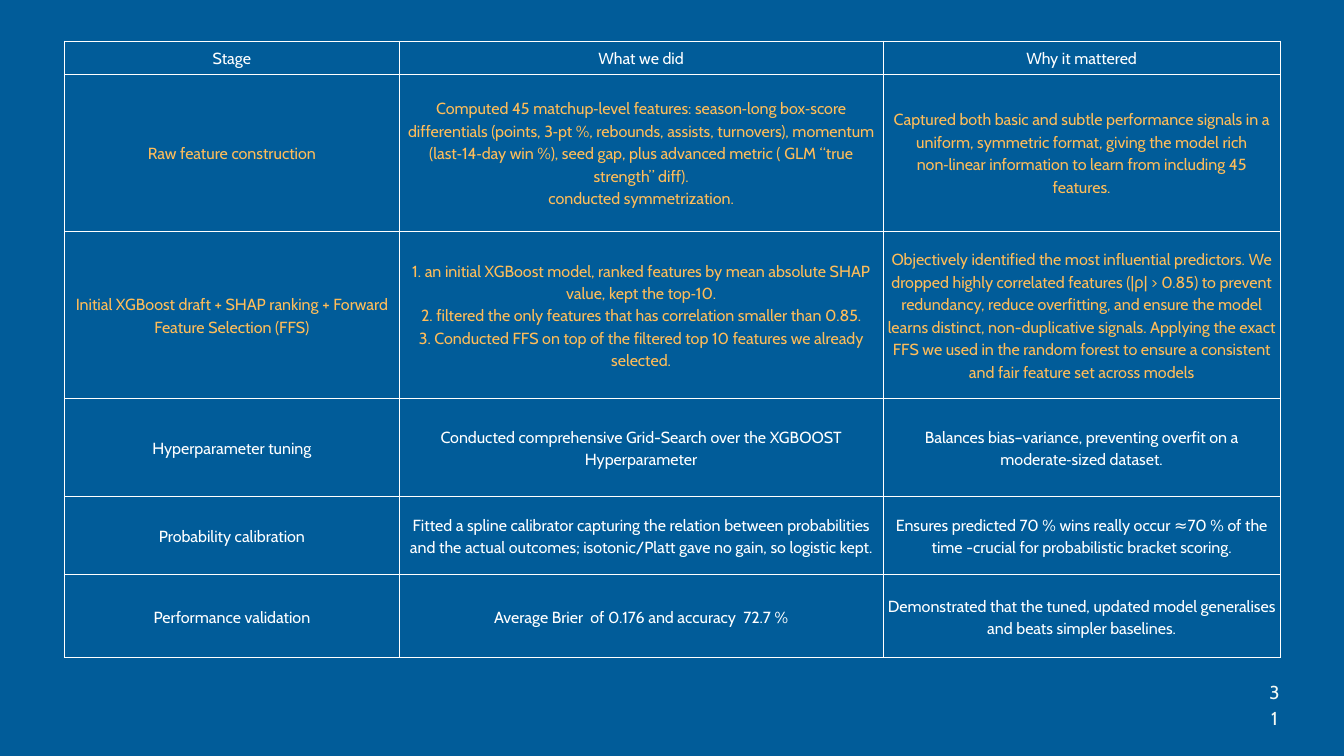
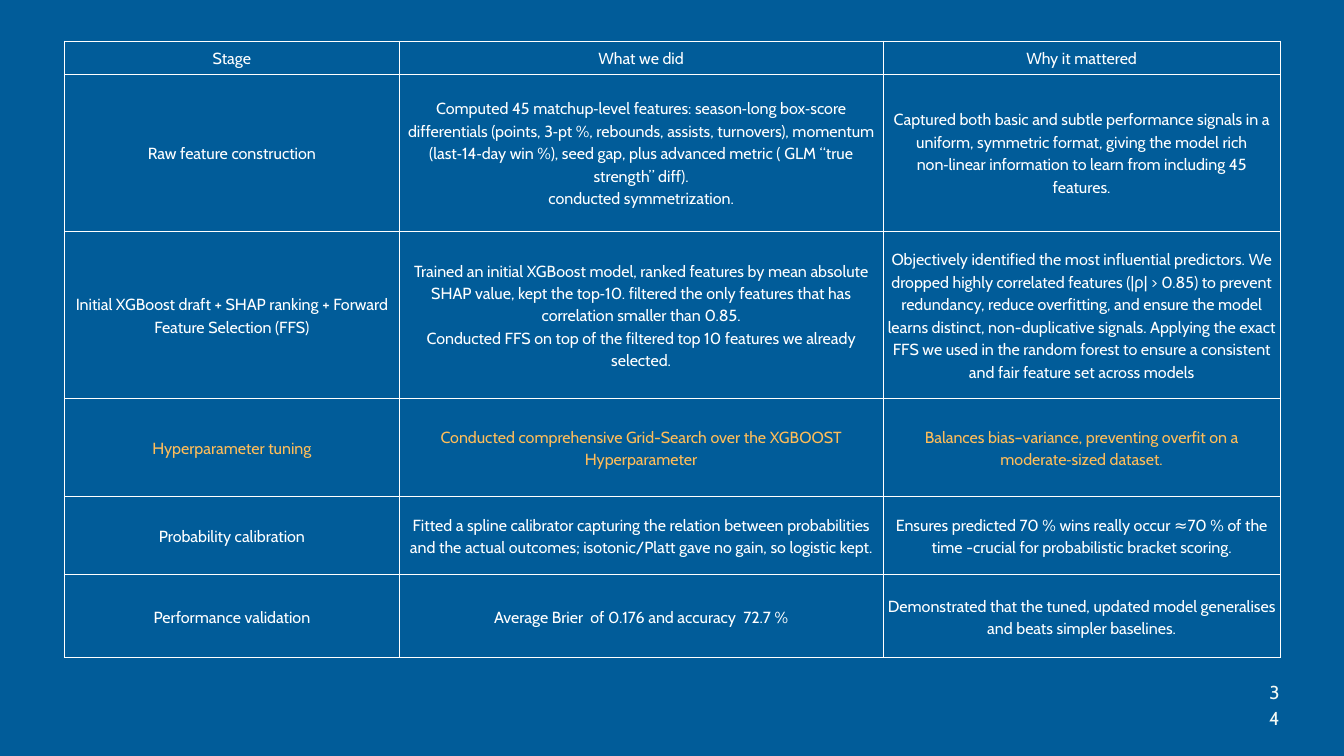
from lxml import etree
from pptx import Presentation
from pptx import util as u
from pptx.dml import color
from pptx.enum import text
from pptx.oxml import ns

FONT = "Cabin"
BLUE, WHITE, AMBER, PALE = "015C99", "FFFFFF", "FFBD59", "F3F9F4"
TABLE_BOX = (0.96, 0.61, 18.09, 9.18)
NUMBER_BOX = (18.88, 10.07, 0.17, 0.22)
COLUMN_WIDTHS = (4.98, 7.2, 5.91)
ROW_HEIGHTS = (0.49, 2.34, 2.49, 1.46, 1.16, 1.24)
SELECTION_ROW = 2

STAGES = [
    ("Stage", "What we did", "Why it mattered"),
    ("Raw feature construction",
     "Computed 45 matchup‑level features: season‑long box‑score differentials "
     "(points, 3‑pt %, rebounds, assists, turnovers), momentum (last‑14‑day win %), "
     "seed gap, plus advanced metric ( GLM “true strength” diff).\n"
     "conducted symmetrization.",
     "Captured both basic and subtle performance signals in a uniform, symmetric "
     "format, giving the model rich non‑linear information to learn from including "
     "45 features."),
    ("Initial XGBoost draft + SHAP ranking + Forward Feature Selection (FFS)",
     "",
     "Objectively identified the most influential predictors. We dropped highly "
     "correlated features (|ρ| > 0.85) to prevent redundancy, reduce overfitting, "
     "and ensure the model learns distinct, non-duplicative signals. Applying the "
     "exact FFS we used in the random forest to ensure a consistent and fair "
     "feature set across models"),
    ("Hyperparameter tuning",
     "Conducted comprehensive Grid-Search over the XGBOOST Hyperparameter",
     "Balances bias–variance, preventing overfit on a moderate‑sized dataset."),
    ("Probability calibration",
     "Fitted a spline calibrator capturing the relation between probabilities and "
     "the actual outcomes; isotonic/Platt gave no gain, so logistic kept.",
     "Ensures predicted 70 % wins really occur ≈70 % of the time -crucial for "
     "probabilistic bracket scoring."),
    ("Performance validation",
     "Average Brier  of 0.176 and accuracy  72.7 %",
     "Demonstrated that the tuned, updated model generalises and beats simpler "
     "baselines."),
]

# Each page: number, rows in focus, wording of the feature selection step
PAGES = [
    ("31", (1, 2),
     "1. an initial XGBoost model, ranked features by mean absolute SHAP value, "
     "kept the top‑10.\n"
     "2. filtered the only features that has correlation smaller than 0.85.\n"
     "3. Conducted FFS on top of the filtered top 10 features we already selected."),
    ("34", (3,),
     "Trained an initial XGBoost model, ranked features by mean absolute SHAP value, "
     "kept the top‑10. filtered the only features that has correlation smaller than "
     "0.85.\n"
     "Conducted FFS on top of the filtered top 10 features we already selected."),
]


def rgb(hex_string):
    return color.RGBColor.from_string(hex_string)


def set_text(frame, words, size, spacing, hex_string):
    """Fill a text frame with centred paragraphs, one per line of words."""
    frame.word_wrap = True
    frame.text = words
    for para in frame.paragraphs:
        para.alignment = text.PP_ALIGN.CENTER
        para.line_spacing = u.Pt(spacing)
        for span in para.runs:
            span.font.name = FONT
            span.font.size = u.Pt(size)
            span.font.color.rgb = rgb(hex_string)


def outline_cell(cell, hex_string, width):
    properties = cell._tc.get_or_add_tcPr()
    for index, side in enumerate(("a:lnL", "a:lnR", "a:lnT", "a:lnB")):
        line = etree.Element(ns.qn(side), w=str(u.Pt(width)))
        fill = etree.SubElement(line, ns.qn("a:solidFill"))
        etree.SubElement(fill, ns.qn("a:srgbClr"), val=hex_string)
        properties.insert(index, line)


def add_stage_table(page, box, rows, focus):
    """Add the table of stages, with the rows in focus in amber."""
    frame = page.shapes.add_table(len(rows), len(COLUMN_WIDTHS), *map(u.Inches, box))
    table = frame.table
    table.first_row = table.horz_banding = False
    for column, width in zip(table.columns, COLUMN_WIDTHS):
        column.width = u.Inches(width)
    for index, (row, height, entries) in enumerate(zip(table.rows, ROW_HEIGHTS, rows)):
        row.height = u.Inches(height)
        for cell, words in zip(row.cells, entries):
            cell.margin_left = cell.margin_right = u.Inches(0.05)
            cell.margin_top = cell.margin_bottom = u.Inches(0.05)
            cell.vertical_anchor = text.MSO_ANCHOR.MIDDLE
            cell.fill.background()
            outline_cell(cell, WHITE, 0.75)
            set_text(cell.text_frame, words, 17.2, 24.1,
                     AMBER if index in focus else WHITE)


def add_page_number(page, box, number):
    frame = page.shapes.add_textbox(*map(u.Inches, box)).text_frame
    frame.margin_left = frame.margin_right = 0
    frame.margin_top = frame.margin_bottom = 0
    frame.auto_size = text.MSO_AUTO_SIZE.SHAPE_TO_FIT_TEXT
    set_text(frame, number, 20, 28, PALE)


def add_stage_page(deck, number, focus, selection):
    page = deck.slides.add_slide(deck.slide_layouts[6])
    page.background.fill.solid()
    page.background.fill.fore_color.rgb = rgb(BLUE)
    rows = list(STAGES)
    stage, _, reason = rows[SELECTION_ROW]
    rows[SELECTION_ROW] = (stage, selection, reason)
    add_stage_table(page, TABLE_BOX, rows, focus)
    add_page_number(page, NUMBER_BOX, number)


def main():
    deck = Presentation()
    deck.slide_width, deck.slide_height = u.Inches(20), u.Inches(11.25)
    for number, focus, selection in PAGES:
        add_stage_page(deck, number, focus, selection)
    deck.save("out.pptx")


if __name__ == "__main__":
    main()
